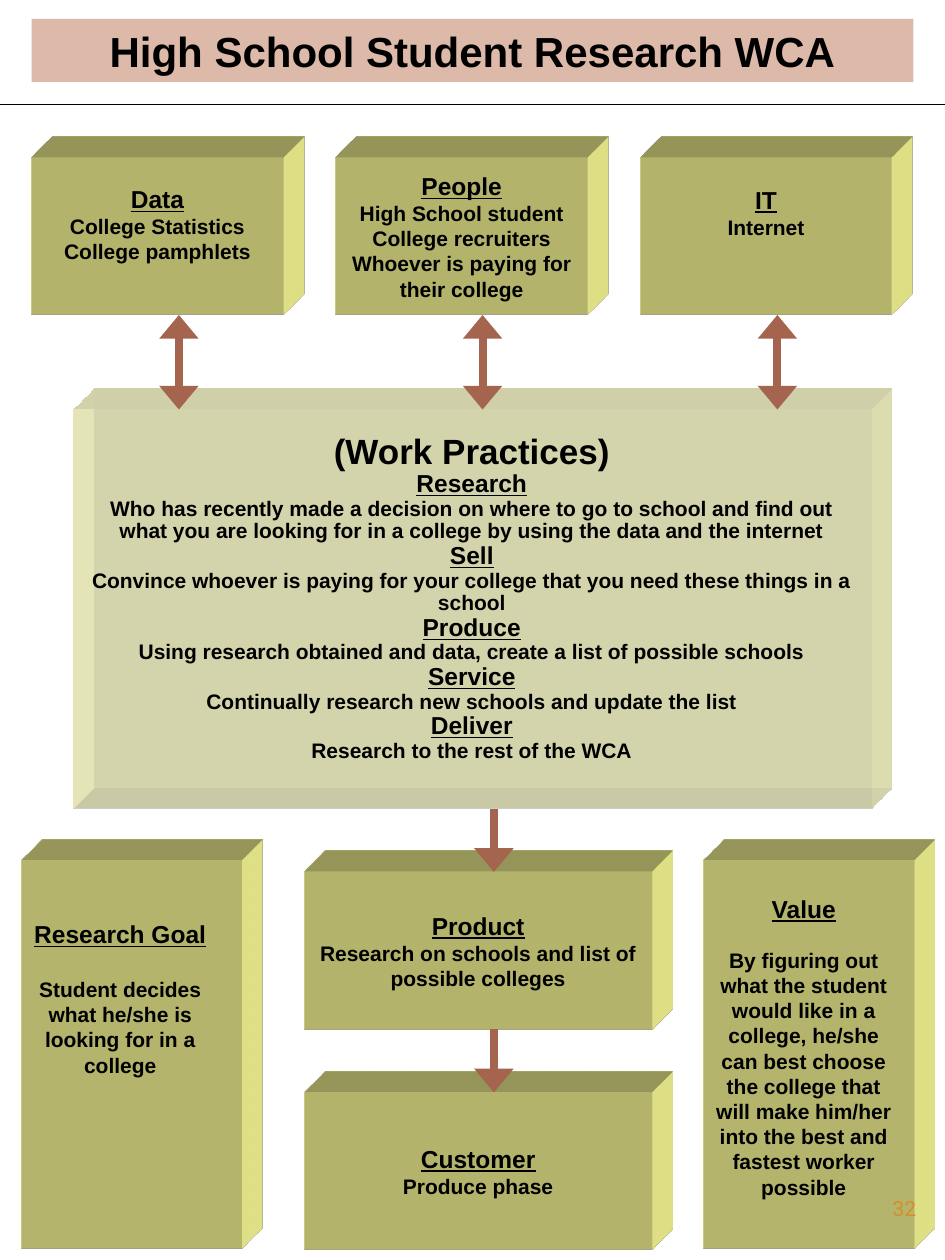
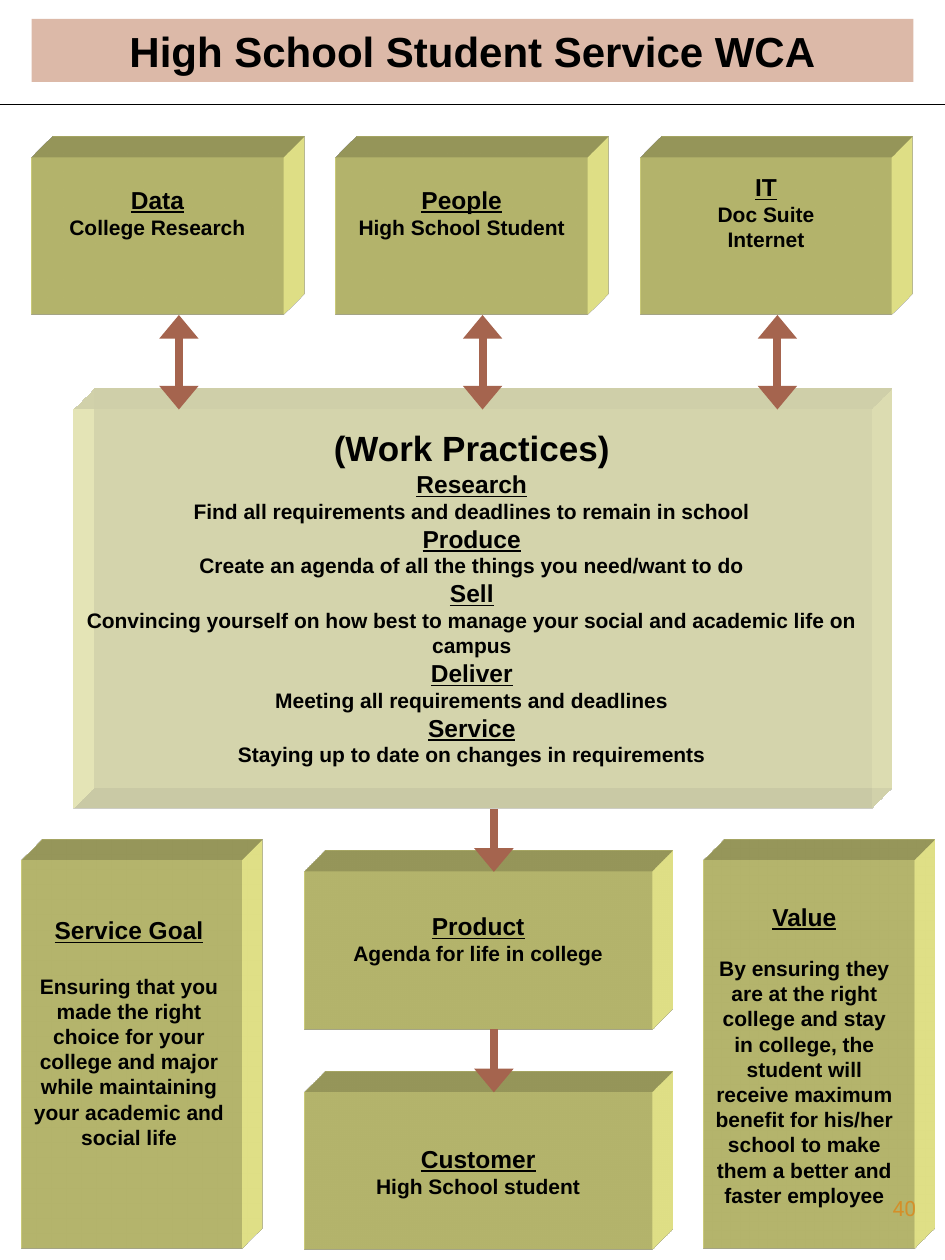
from lxml.etree import SubElement
from pptx import Presentation
from pptx.dml.color import RGBColor
from pptx.enum.shapes import MSO_CONNECTOR, MSO_SHAPE
from pptx.enum.text import MSO_ANCHOR, MSO_AUTO_SIZE, PP_ALIGN
from pptx.oxml import parse_xml
from pptx.oxml.ns import nsdecls, qn
from pptx.util import Inches, Pt

COLORS = {"text": "000000", "box": "FFFF99", "band": "993300",
          "arrow": "A5644E", "number": "D48F29"}
FONT = "Arial"
HEADING, BODY = 14, 12
TINT = 34  # percent opacity of the title band and the work box

# Each block: heading, body lines, and optional room below (points of text),
# gap between heading and body, and right inset in inches.
SLIDES = [
    {
        "title": "High School Student Research WCA",
        "number": "32",
        "inputs": [
            {"heading": "Data", "body": ["College Statistics", "College pamphlets"], "below": 12},
            {"heading": "People", "body": ["High School student", "College recruiters",
                                           "Whoever is paying for their college"]},
            {"heading": "IT", "body": ["Internet"], "below": 24},
        ],
        "work_spacing": 0.9,
        "work": [
            ("Research", "Who has recently made a decision on where to go to school and find out "
                         "what you are looking for in a college by using the data and the internet"),
            ("Sell", "Convince whoever is paying for your college that you need these things "
                     "in a school"),
            ("Produce", "Using research obtained and data, create a list of possible schools"),
            ("Service", "Continually research new schools and update the list"),
            ("Deliver", "Research to the rest of the WCA"),
        ],
        "goal": {"heading": "Research Goal",
                 "body": ["Student decides what he/she is looking for in a college"],
                 "below": 56, "gap": 14, "right": 0.28},
        "value": {"heading": "Value",
                  "body": ["By figuring out what the student would like in a college, he/she can "
                           "best choose the college that will make him/her into the best and "
                           "fastest worker possible"],
                  "below": 8, "gap": 12, "right": 0.17},
        "outputs": [
            {"heading": "Product", "body": ["Research on schools and list of possible colleges"]},
            {"heading": "Customer", "body": ["Produce phase"]},
        ],
    },
    {
        "title": "High School Student Service WCA",
        "number": "40",
        "inputs": [
            {"heading": "Data", "body": ["College Research"], "below": 24},
            {"heading": "People", "body": ["High School Student"], "below": 24},
            {"heading": "IT", "body": ["Doc Suite", "Internet"], "below": 24},
        ],
        "work_spacing": 1.0,
        "work": [
            ("Research", "Find all requirements and deadlines to remain in school"),
            ("Produce", "Create an agenda of all the things you need/want to do"),
            ("Sell", "Convincing yourself on how best to manage your social and academic life "
                     "on campus"),
            ("Deliver", "Meeting all requirements and deadlines"),
            ("Service", "Staying up to date on changes in requirements"),
        ],
        "goal": {"heading": "Service Goal",
                 "body": ["Ensuring that you made the right choice for your college and major "
                          "while maintaining your academic and social life"],
                 "below": 22, "gap": 14, "right": 0.14},
        "value": {"heading": "Value",
                  "body": ["By ensuring they are at the right college and stay in college, the "
                           "student will receive maximum benefit for his/her school to make them "
                           "a better and faster employee"],
                  "gap": 12, "right": 0.16},
        "outputs": [
            {"heading": "Product", "body": ["Agenda for life in college"], "below": 12},
            {"heading": "Customer", "body": ["High School student"]},
        ],
    },
]

LINE_HEIGHT = 1.15  # natural line height as a multiple of the text size
INPUT_LEFT, INPUT_STEP, INPUT_TOP = 0.25, 2.415, 1.25
OUTPUT_LEFT, OUTPUT_TOP, OUTPUT_STEP = 2.42, 6.92, 1.75
INPUT_SIZE, OUTPUT_SIZE = (2, 1.25), (2.75, 1.25)
WORK_AREA = (0.58, 3.25, 6.33, 3.17)
GOAL_AREA = (0.17, 6.83, 1.75, 3.08)
VALUE_AREA = (5.58, 6.83, 1.67, 3.08)
INPUT_ARROWS = (1.42, 3.83, 6.17)
OUTPUT_ARROW = 3.92


def color(name):
    return RGBColor.from_string(COLORS[name])


def add_text(frame, text, first=False, size=BODY, bold=True, underline=False, ink="text",
             font=FONT, align=PP_ALIGN.CENTER, before=0, spacing=1.0):
    paragraph = frame.paragraphs[0] if first else frame.add_paragraph()
    paragraph.alignment = align
    paragraph.space_before = Pt(before)
    paragraph.line_spacing = spacing
    run = paragraph.add_run()
    run.text = text
    run.font.name, run.font.size = font, Pt(size)
    run.font.bold, run.font.underline = bold, underline
    run.font.color.rgb = color(ink)


def paint(shape, name, opacity=100):
    shape.fill.solid()
    shape.fill.fore_color.rgb = color(name)
    shape.line.fill.background()
    if opacity < 100:
        tone = shape.fill._xPr.find(qn("a:solidFill"))[0]
        SubElement(tone, qn("a:alpha"), val=str(opacity * 1000))


def extrude(shape):
    """Give the shape depth towards the top right."""
    properties = shape._element.spPr
    properties.append(parse_xml(
        f'<a:scene3d {nsdecls("a")}><a:camera prst="legacyObliqueTopRight"/>'
        '<a:lightRig rig="legacyFlat3" dir="b"/></a:scene3d>'))
    properties.append(parse_xml(
        f'<a:sp3d {nsdecls("a")} extrusionH="430200" prstMaterial="legacyMatte">'
        '<a:bevelT w="13500" h="13500" prst="angle"/><a:bevelB w="13500" h="13500" prst="angle"/>'
        f'<a:extrusionClr><a:srgbClr val="{COLORS["box"]}"/></a:extrusionClr></a:sp3d>'))


def add_box(slide, area, below=0, right=0.1, opacity=100):
    """Add a solid block and return its text frame."""
    box = slide.shapes.add_shape(MSO_SHAPE.RECTANGLE, *map(Inches, area))
    box.shadow.inherit = False
    paint(box, "box", opacity)
    extrude(box)
    frame = box.text_frame
    frame.word_wrap = True
    frame.vertical_anchor = MSO_ANCHOR.MIDDLE
    frame.margin_right = Inches(right)
    frame.margin_bottom = Inches(0.05) + Pt(below * LINE_HEIGHT)
    return frame


def add_block(slide, area, heading, body, below=0, gap=0, right=0.1):
    frame = add_box(slide, area, below, right)
    add_text(frame, heading, first=True, size=HEADING, underline=True)
    for index, line in enumerate(body):
        add_text(frame, line, before=0 if index else gap * LINE_HEIGHT)


def add_work(slide, practices, spacing):
    frame = add_box(slide, WORK_AREA, below=BODY * spacing, opacity=TINT)
    add_text(frame, "(Work Practices)", first=True, size=20, spacing=spacing)
    for heading, detail in practices:
        add_text(frame, heading, size=HEADING, underline=True, spacing=spacing)
        add_text(frame, detail, spacing=spacing)


def add_line(slide, start, end, ink="arrow", width=4.5, ends=()):
    line = slide.shapes.add_connector(MSO_CONNECTOR.STRAIGHT, *map(Inches, start + end))
    line.line.color.rgb = color(ink)
    line.line.width = Pt(width)
    for tag in ends:
        SubElement(line.line._get_or_add_ln(), qn(tag), type="triangle", w="lg", len="med")
    SubElement(line._element.spPr, qn("a:effectLst"))


def add_title(slide, text):
    title = slide.shapes.title
    title.left, title.top, title.width, title.height = map(Inches, (0.25, 0.15, 7, 0.5))
    paint(title, "band", TINT)
    title.text_frame.auto_size = MSO_AUTO_SIZE.NONE
    title.text_frame.vertical_anchor = MSO_ANCHOR.MIDDLE
    add_text(title.text_frame, text, first=True, size=24)
    add_line(slide, (0, 0.83), (7.5, 0.83), ink="text", width=0.75)


def add_number(slide, number):
    frame = slide.shapes.add_textbox(*map(Inches, (6.75, 9.44, 0.62, 0.36))).text_frame
    frame.word_wrap = True
    add_text(frame, number, first=True, bold=False, ink="number", font="Roboto",
             align=PP_ALIGN.RIGHT)


def add_arrows(slide):
    work_top, work_bottom = WORK_AREA[1], WORK_AREA[1] + WORK_AREA[3]
    for x in INPUT_ARROWS:
        add_line(slide, (x, INPUT_TOP + INPUT_SIZE[1]), (x, work_top),
                 ends=("a:headEnd", "a:tailEnd"))
    customer_top = OUTPUT_TOP + OUTPUT_STEP
    for top, bottom in ((work_bottom, OUTPUT_TOP), (OUTPUT_TOP + OUTPUT_SIZE[1], customer_top)):
        add_line(slide, (OUTPUT_ARROW, top), (OUTPUT_ARROW, bottom), ends=("a:tailEnd",))


def main():
    deck = Presentation()
    deck.slide_width, deck.slide_height = Inches(7.5), Inches(10)
    title_only = deck.slide_layouts[5]
    for content in SLIDES:
        slide = deck.slides.add_slide(title_only)
        add_title(slide, content["title"])
        for column, block in enumerate(content["inputs"]):
            add_block(slide, (INPUT_LEFT + column * INPUT_STEP, INPUT_TOP, *INPUT_SIZE), **block)
        add_work(slide, content["work"], content["work_spacing"])
        add_block(slide, GOAL_AREA, **content["goal"])
        add_block(slide, VALUE_AREA, **content["value"])
        for row, block in enumerate(content["outputs"]):
            add_block(slide, (OUTPUT_LEFT, OUTPUT_TOP + row * OUTPUT_STEP, *OUTPUT_SIZE), **block)
        add_arrows(slide)
        add_number(slide, content["number"])
    deck.save("out.pptx")


if __name__ == "__main__":
    main()
